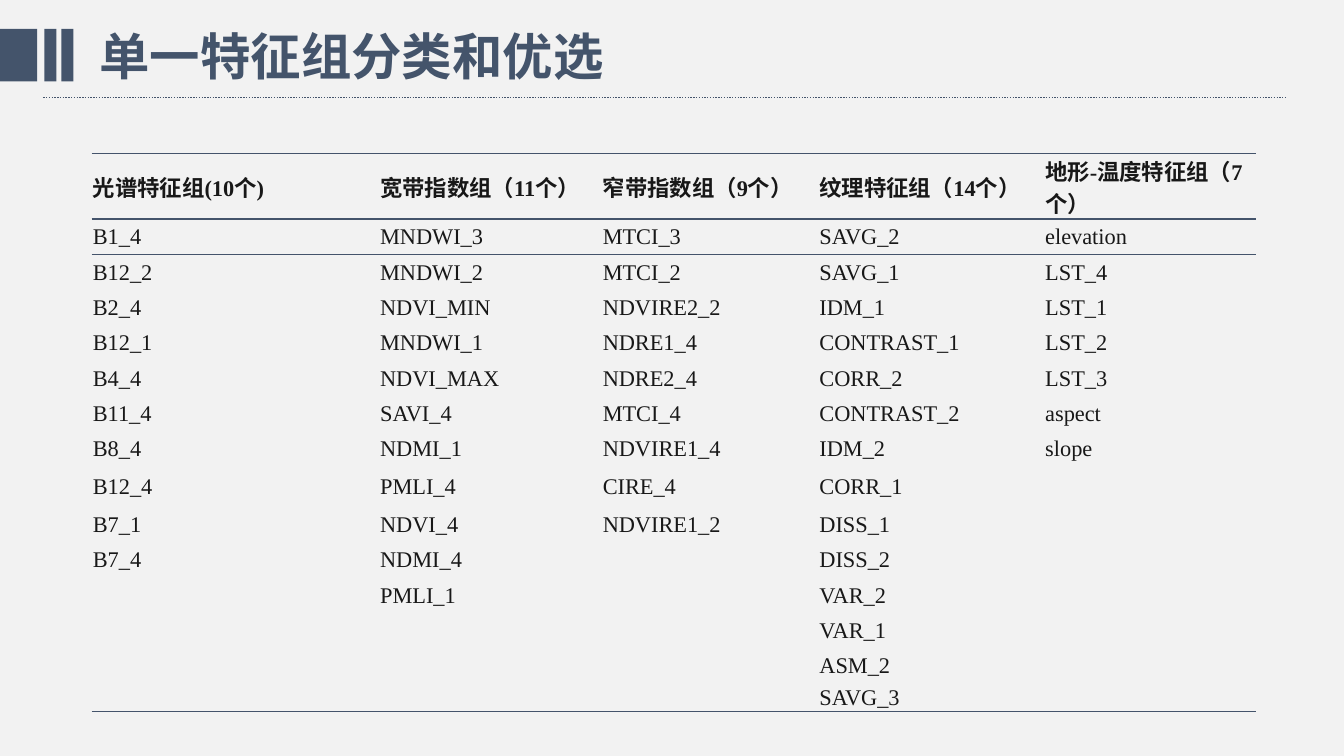
from itertools import zip_longest

from lxml import etree
from pptx import Presentation
from pptx import oxml
from pptx import util as u
from pptx.dml.color import RGBColor
from pptx.enum import dml, shapes, text
from pptx.oxml import ns

Cm, Pt = u.Cm, u.Pt
COLORS = {"back": "F2F2F2", "slate": "44546B", "ink": "181818"}
SERIF, SANS = "Times New Roman", "Noto Sans CJK SC"
PLAIN = "{2D5ABB26-0587-4C30-8999-92F81FD0307C}"  # table style without grid
SIZE = 16

GROUPS = {
    "光谱特征组(10个)": "B1_4 B12_2 B2_4 B12_1 B4_4 B11_4 B8_4 B12_4 B7_1 B7_4",
    "宽带指数组（11个）": "MNDWI_3 MNDWI_2 NDVI_MIN MNDWI_1 NDVI_MAX SAVI_4 "
                  "NDMI_1 PMLI_4 NDVI_4 NDMI_4 PMLI_1",
    "窄带指数组（9个）": "MTCI_3 MTCI_2 NDVIRE2_2 NDRE1_4 NDRE2_4 MTCI_4 "
                 "NDVIRE1_4 CIRE_4 NDVIRE1_2",
    "纹理特征组（14个）": "SAVG_2 SAVG_1 IDM_1 CONTRAST_1 CORR_2 CONTRAST_2 IDM_2 "
                  "CORR_1 DISS_1 DISS_2 VAR_2 VAR_1 ASM_2 SAVG_3",
    "地形-温度特征组（7个）": "elevation LST_4 LST_1 LST_2 LST_3 aspect slope",
}
WIDTHS = [7.24, 5.61, 5.46, 5.69, 5.33]
HEIGHTS = [1.4] + [0.89] * 7 + [1.02] + [0.89] * 5 + [0.7]


def rgb(name):
    return RGBColor.from_string(COLORS[name])


def add_run(para, words, size, face, color, bold):
    run = para.add_run()
    run.text = words
    font = run.font
    font.size, font.name, font.bold = Pt(size), face, bold
    font.color.rgb = rgb(color)
    east = etree.SubElement(font._element, ns.qn("a:ea"))
    east.set("typeface", SANS)


def add_bar(slide, left, width):
    bar = slide.shapes.add_shape(
        shapes.MSO_SHAPE.RECTANGLE, Cm(left), Cm(0.73), Cm(width), Cm(1.32))
    bar.shadow.inherit = False
    bar.fill.solid()
    bar.fill.fore_color.rgb = rgb("slate")
    bar.line.fill.background()


def add_rule(slide):
    rule = slide.shapes.add_connector(
        shapes.MSO_CONNECTOR.STRAIGHT, Cm(1.09), Cm(2.46), Cm(32.41), Cm(2.46))
    rule.line.color.rgb = rgb("slate")
    rule.line.width = Pt(1)
    rule.line.dash_style = dml.MSO_LINE.ROUND_DOT
    etree.SubElement(rule._element.spPr, ns.qn("a:effectLst"))


def add_title(slide, words):
    box = slide.shapes.add_textbox(Cm(2.26), Cm(0.51), Cm(13.34), Cm(1.8))
    frame = box.text_frame
    frame.word_wrap = False
    frame.auto_size = text.MSO_AUTO_SIZE.SHAPE_TO_FIT_TEXT
    add_run(frame.paragraphs[0], words, 36, SANS, "slate", True)


def add_edge(cell, side):
    """Draw one border; side is T or B, and T must come first."""
    edge = oxml.parse_xml(
        f'<a:ln{side} {ns.nsdecls("a")} w="12700"><a:solidFill>'
        f'<a:srgbClr val="{COLORS["slate"]}"/></a:solidFill></a:ln{side}>')
    cell._tc.get_or_add_tcPr().append(edge)


def fill_cell(cell, words, bold, sides):
    cell.margin_left = cell.margin_right = cell.margin_top = Cm(0.03)
    cell.margin_bottom = 0
    cell.vertical_anchor = text.MSO_ANCHOR.MIDDLE
    for side in sides:
        add_edge(cell, side)
    cell.fill.background()
    para = cell.text_frame.paragraphs[0]
    if words:
        add_run(para, words, SIZE, SERIF, "ink", bold)
    else:
        end = etree.SubElement(para._p, ns.qn("a:endParaRPr"))
        end.set("sz", str(SIZE * 100))


def add_grid(slide):
    rows = [tuple(GROUPS)]
    rows += zip_longest(*(names.split() for names in GROUPS.values()))
    frame = slide.shapes.add_table(
        len(rows), len(WIDTHS), Cm(2.31), Cm(3.86),
        Cm(sum(WIDTHS)), Cm(sum(HEIGHTS)))
    table = frame.table
    table.first_row = table.horz_banding = False
    table._tbl.tblPr.find(ns.qn("a:tableStyleId")).text = PLAIN
    for col, width in zip(table.columns, WIDTHS):
        col.width = Cm(width)
    edges = {0: "TB", 1: "T", len(rows) - 1: "B"}
    for r, names in enumerate(rows):
        table.rows[r].height = Cm(HEIGHTS[r])
        for c, name in enumerate(names):
            fill_cell(table.cell(r, c), name, r == 0, edges.get(r, ""))


def main():
    deck = Presentation()
    deck.slide_width, deck.slide_height = Cm(33.87), Cm(19.05)
    slide = deck.slides.add_slide(deck.slide_layouts[6])
    back = slide.background.fill
    back.solid()
    back.fore_color.rgb = rgb("back")
    for left, width in [(0, 0.94), (1.12, 0.3), (1.55, 0.3)]:
        add_bar(slide, left, width)
    add_rule(slide)
    add_grid(slide)
    add_title(slide, "单一特征组分类和优选")
    deck.save("out.pptx")


if __name__ == "__main__":
    main()
